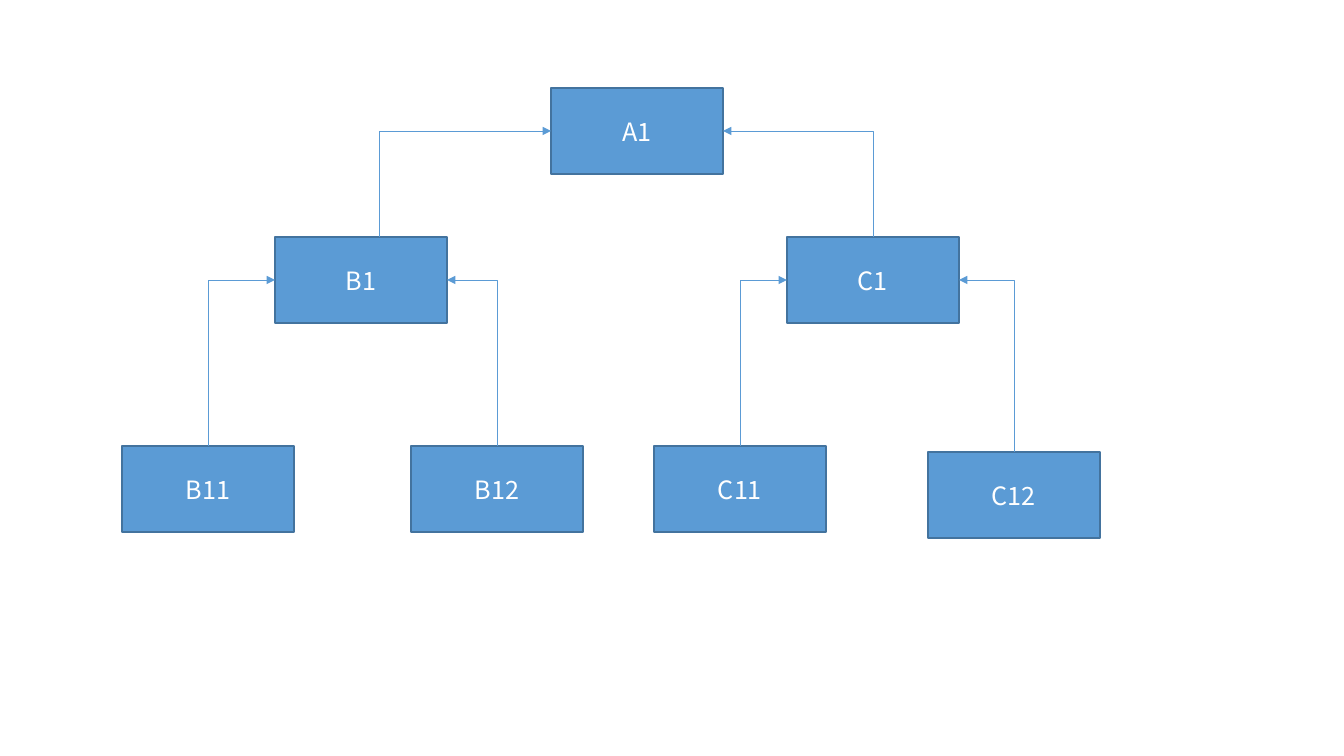
from lxml.etree import SubElement
from pptx import Presentation
from pptx.dml.color import RGBColor
from pptx.enum.shapes import MSO_CONNECTOR, MSO_SHAPE
from pptx.enum.text import MSO_ANCHOR, PP_ALIGN
from pptx.oxml.ns import qn
from pptx.util import Pt

BLUE = RGBColor(0x5B, 0x9B, 0xD5)
DARK_BLUE = RGBColor(0x43, 0x73, 0x9E)
WHITE = RGBColor(0xFF, 0xFF, 0xFF)

SLIDE_W, SLIDE_H = 1344, 756
BOX_W, BOX_H = 172, 86
EMU_PER_PX = 12192000 / SLIDE_W
TOP, LEFT, RIGHT = 0, 1, 3  # connection sites of a rectangle


def px(n):
    return round(n * EMU_PER_PX)


class TreeSlide:
    font = "Noto Sans CJK KR"
    size = Pt(18)

    def __init__(self, prs):
        self.s = prs.slides.add_slide(prs.slide_layouts[6])

    def box(self, text, x, y):
        sp = self.s.shapes.add_shape(MSO_SHAPE.RECTANGLE, px(x), px(y), px(BOX_W), px(BOX_H))
        sp.shadow.inherit = False
        sp.fill.solid()
        sp.fill.fore_color.rgb = BLUE
        sp.line.color.rgb = DARK_BLUE
        sp.line.width = Pt(1)
        tf = sp.text_frame
        tf.word_wrap = True
        tf.vertical_anchor = MSO_ANCHOR.MIDDLE
        p = tf.paragraphs[0]
        p.alignment = PP_ALIGN.CENTER
        r = p.add_run()
        r.text = text
        r.font.name = self.font
        r.font.size = self.size
        r.font.color.rgb = WHITE
        return sp

    def arrow(self, child, parent, shift=0):
        """Go up from the child's top, then sideways into the parent."""
        x1, y1 = child.left + child.width // 2 + px(shift), child.top
        from_left = x1 < parent.left
        x2 = parent.left if from_left else parent.left + parent.width
        y2 = parent.top + parent.height // 2
        cn = self.s.shapes.add_connector(MSO_CONNECTOR.ELBOW, x1, y1, x2, y2)
        if not shift:
            cn.begin_connect(child, TOP)
            cn.end_connect(parent, LEFT if from_left else RIGHT)

        # One-bend elbow: a quarter turn swaps width and height about the centre
        w, h = y1 - y2, abs(x2 - x1)
        cn.left, cn.top = (x1 + x2 - w) // 2, (y1 + y2 - h) // 2
        cn.width, cn.height = w, h
        sp_pr = cn._element.spPr
        xfrm = sp_pr.find(qn("a:xfrm"))
        xfrm.set("rot", "5400000" if from_left else "16200000")
        xfrm.set("flipH", "1" if from_left else "0")
        xfrm.set("flipV", "1")
        sp_pr.find(qn("a:prstGeom")).set("prst", "bentConnector2")

        # Line style and arrowhead
        cn.line.color.rgb = BLUE
        cn.line.width = Pt(0.5)
        SubElement(cn.line._get_or_add_ln(), qn("a:tailEnd"), type="triangle")
        SubElement(sp_pr, qn("a:effectLst"))


def main():
    prs = Presentation()
    prs.slide_width, prs.slide_height = px(SLIDE_W), px(SLIDE_H)
    tree = TreeSlide(prs)

    # Boxes: name, left, top
    nodes = [
        ("A1", 551, 88),
        ("B1", 275, 237), ("C1", 787, 237),
        ("B11", 122, 446), ("B12", 411, 446),
        ("C11", 654, 446), ("C12", 928, 452),
    ]
    boxes = {name: tree.box(name, x, y) for name, x, y in nodes}

    # Arrows from each child to its parent
    tree.arrow(boxes["B1"], boxes["A1"], shift=18)
    tree.arrow(boxes["C1"], boxes["A1"])
    for parent in ("B1", "C1"):
        for digit in "12":
            tree.arrow(boxes[parent + digit], boxes[parent])

    prs.save("out.pptx")


if __name__ == "__main__":
    main()
